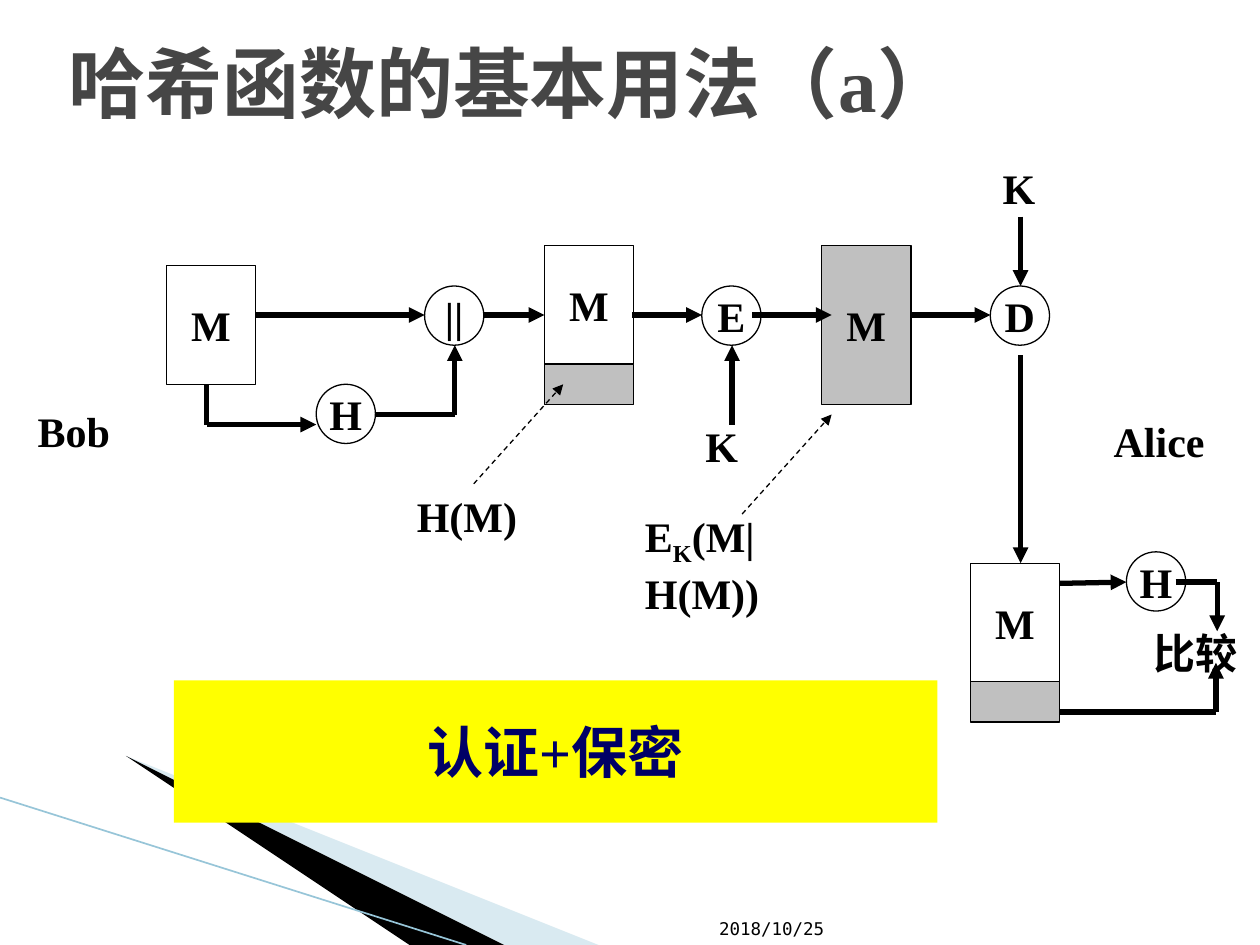
from dataclasses import dataclass

from lxml import etree
from pptx import Presentation
from pptx import util as u
from pptx.dml.color import RGBColor
from pptx.enum import dml, shapes, text
from pptx.oxml.ns import qn


@dataclass(frozen=True)
class Theme:
    serif: str = "Times New Roman"
    mono: str = "DejaVu Sans Mono"
    black: str = "000000"
    white: str = "FFFFFF"
    grey: str = "C0C0C0"
    title: str = "464646"
    banner: str = "FFFF00"
    banner_text: str = "000066"
    swoosh: str = "A0CBDC"
    swoosh_line: str = "97C5D8"
    title_size: float = 44
    banner_size: float = 32
    body_size: float = 24
    date_size: float = 10
    thin: float = 0.75
    thick: float = 3


THEME = Theme()
BOX_W, BOX_H, HASH_H, CIRCLE = 0.71, 0.94, 0.32, 0.47
ROW_Y = 2.5
RECT, OVAL = shapes.MSO_SHAPE.RECTANGLE, shapes.MSO_SHAPE.OVAL


@dataclass(frozen=True)
class Node:
    left: float
    top: float
    width: float
    height: float
    label: str = ""
    kind: shapes.MSO_SHAPE = RECT
    fill: str = THEME.white
    border: bool = True
    size: float = THEME.body_size
    color: str = THEME.black


@dataclass(frozen=True)
class Arrow:
    """A route of straight segments with its head on the last one."""
    points: tuple
    dashed: bool = False


@dataclass(frozen=True)
class Label:
    left: float
    top: float
    width: float
    spans: tuple  # (wording, is subscript)


def circle(left: float, top: float, label: str) -> Node:
    return Node(left, top, CIRCLE, CIRCLE, label, OVAL)


def message_with_hash(left: float, top: float) -> tuple:
    return (Node(left, top, BOX_W, BOX_H, "M"),
            Node(left, top + BOX_H, BOX_W, HASH_H, fill=THEME.grey))


NODES = (
    Node(1.32, 2.11, BOX_W, BOX_H, "M"),
    circle(3.37, 2.27, "||"),
    circle(2.51, 3.05, "H"),
    *message_with_hash(4.32, 1.95),
    circle(5.57, 2.27, "E"),
    Node(6.52, 1.95, BOX_W, BOX_H + HASH_H, "M", fill=THEME.grey),
    circle(7.86, 2.27, "D"),
    *message_with_hash(7.7, 4.47),
    circle(8.94, 4.38, "H"),
    Node(1.38, 5.4, 6.06, 1.13, "认证+保密", fill=THEME.banner, border=False,
         size=THEME.banner_size, color=THEME.banner_text),
)

ROW_SPANS = ((2.03, 3.37), (3.84, 4.32), (5.02, 5.57), (5.97, 6.6), (7.23, 7.86))
ARROWS = (
    *(Arrow(((start, ROW_Y), (end, ROW_Y))) for start, end in ROW_SPANS),
    Arrow(((1.64, 3.05), (1.64, 3.37), (2.51, 3.37))),
    Arrow(((2.98, 3.29), (3.61, 3.29), (3.61, 2.74))),
    Arrow(((5.81, 3.37), (5.81, 2.74))),
    Arrow(((8.1, 1.72), (8.1, 2.27))),
    Arrow(((8.1, 2.82), (8.1, 4.47))),
    Arrow(((8.41, 4.63), (8.94, 4.62))),
    Arrow(((9.33, 4.62), (9.66, 4.62), (9.66, 5.01))),
    Arrow(((8.41, 5.65), (9.65, 5.65), (9.65, 5.26))),
    Arrow(((3.76, 3.84), (4.47, 3.05)), dashed=True),
    Arrow(((5.89, 4.08), (6.6, 3.29)), dashed=True),
)

LABELS = (
    Label(0.2, 3.17, 1.42, (("Bob", False),)),
    Label(8.74, 3.25, 1.02, (("Alice", False),)),
    Label(7.86, 1.24, 0.71, (("K", False),)),
    Label(5.5, 3.29, 0.71, (("K", False),)),
    Label(3.21, 3.84, 1.42, (("H(M)", False),)),
    Label(5.02, 4, 1.97, (("E", False), ("K", True), ("(M|H(M))", False))),
    Label(9.06, 4.93, 0.94, (("比较", False),)),
)


def rgb(color: str) -> RGBColor:
    return RGBColor.from_string(color)


def add_span(para, wording: str, size: float = THEME.body_size,
             color: str = THEME.black, font: str = THEME.serif, bold: bool = True):
    span = para.add_run()
    span.text = wording
    span.font.name, span.font.size, span.font.bold = font, u.Pt(size), bold
    span.font.color.rgb = rgb(color)
    return span


def add_text_box(page, left: float, top: float, width: float, height: float):
    box = page.shapes.add_textbox(*map(u.Inches, (left, top, width, height)))
    box.text_frame.word_wrap = True
    return box.text_frame


def draw_node(page, node: Node) -> None:
    shape = page.shapes.add_shape(
        node.kind, *map(u.Inches, (node.left, node.top, node.width, node.height)))
    shape.shadow.inherit = False
    shape.fill.solid()
    shape.fill.fore_color.rgb = rgb(node.fill)
    if node.border:
        shape.line.color.rgb = rgb(THEME.black)
        shape.line.width = u.Pt(THEME.thin)
    else:
        shape.line.fill.background()
    if node.label:
        frame = shape.text_frame
        frame.word_wrap = False
        frame.vertical_anchor = text.MSO_ANCHOR.MIDDLE
        para = frame.paragraphs[0]
        para.alignment = text.PP_ALIGN.CENTER
        add_span(para, node.label, node.size, node.color)


def draw_line(page, start: tuple, end: tuple, color: str, width: float):
    line = page.shapes.add_connector(
        shapes.MSO_CONNECTOR.STRAIGHT, *map(u.Inches, (*start, *end)))
    line.line.color.rgb = rgb(color)
    line.line.width = u.Pt(width)
    etree.SubElement(line._element.spPr, qn("a:effectLst"))
    return line


def draw_arrow(page, arrow: Arrow) -> None:
    width = THEME.thin if arrow.dashed else THEME.thick
    for start, end in zip(arrow.points, arrow.points[1:]):
        line = draw_line(page, start, end, THEME.black, width)
        if arrow.dashed:
            line.line.dash_style = dml.MSO_LINE.DASH
    etree.SubElement(line.line._get_or_add_ln(), qn("a:tailEnd"), type="triangle")


def draw_label(page, label: Label) -> None:
    frame = add_text_box(page, label.left, label.top, label.width, 0.5)
    for wording, subscript in label.spans:
        span = add_span(frame.paragraphs[0], wording)
        if subscript:
            span.font._element.set("baseline", "-25000")


def draw_wedge(page, points: tuple, color: str, opacity: int = 100) -> None:
    builder = page.shapes.build_freeform(*points[0], scale=u.Inches(1))
    builder.add_line_segments(points[1:], close=True)
    wedge = builder.convert_to_shape()
    wedge.shadow.inherit = False
    wedge.fill.solid()
    wedge.fill.fore_color.rgb = rgb(color)
    wedge.line.fill.background()
    if opacity < 100:
        tint = wedge._element.spPr.find(".//" + qn("a:srgbClr"))
        etree.SubElement(tint, qn("a:alpha"), val=str(opacity * 1000))


def draw_title(page, wording: str) -> None:
    title = page.shapes.title
    title.left, title.top, title.width, title.height = map(u.Inches, (0.44, 0.02, 9, 1.25))
    title.text_frame.vertical_anchor = text.MSO_ANCHOR.MIDDLE
    para = title.text_frame.paragraphs[0]
    para.alignment = text.PP_ALIGN.LEFT
    add_span(para, wording, THEME.title_size, THEME.title)


def main() -> None:
    deck = Presentation()
    deck.slide_width, deck.slide_height = u.Inches(10), u.Inches(7.5)
    page = deck.slides.add_slide(deck.slide_layouts[5])
    draw_wedge(page, ((0.55, 6.5), (5.95, 7.5), (4.56, 7.5)), THEME.swoosh, 40)
    draw_wedge(page, ((0.53, 6.49), (4.57, 7.5), (3.72, 7.5)), THEME.black)
    draw_line(page, (0, 6.33), (3.7, 7.5), THEME.swoosh_line, 0.95)
    draw_title(page, "哈希函数的基本用法（a）")
    for draw, items in ((draw_node, NODES), (draw_arrow, ARROWS), (draw_label, LABELS)):
        for item in items:
            draw(page, item)
    date = add_text_box(page, 5.61, 7.01, 1.12, 0.49)
    date.vertical_anchor = text.MSO_ANCHOR.BOTTOM
    add_span(date.paragraphs[0], "2018/10/25", THEME.date_size, font=THEME.mono, bold=False)
    deck.save("out.pptx")


if __name__ == "__main__":
    main()
